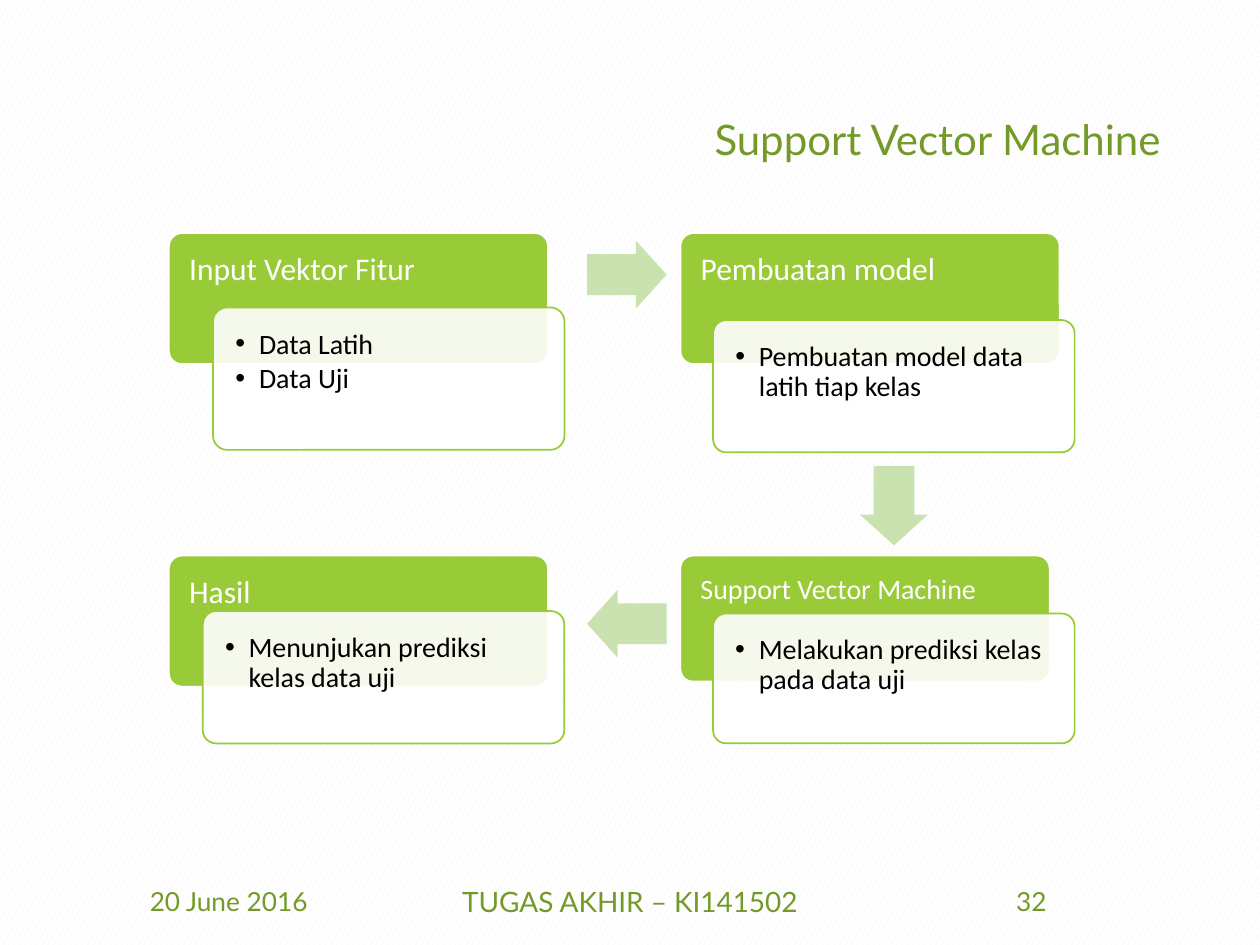
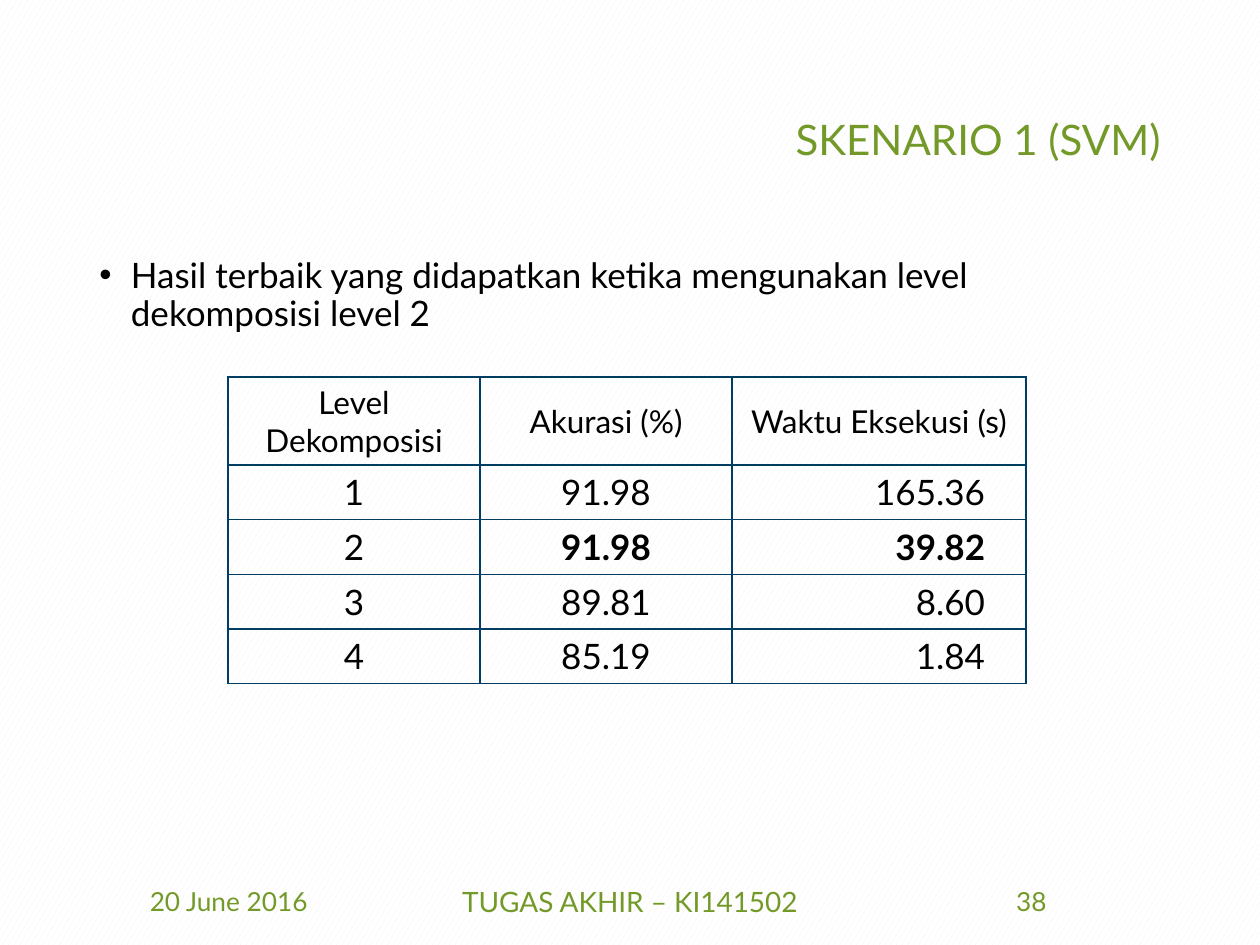
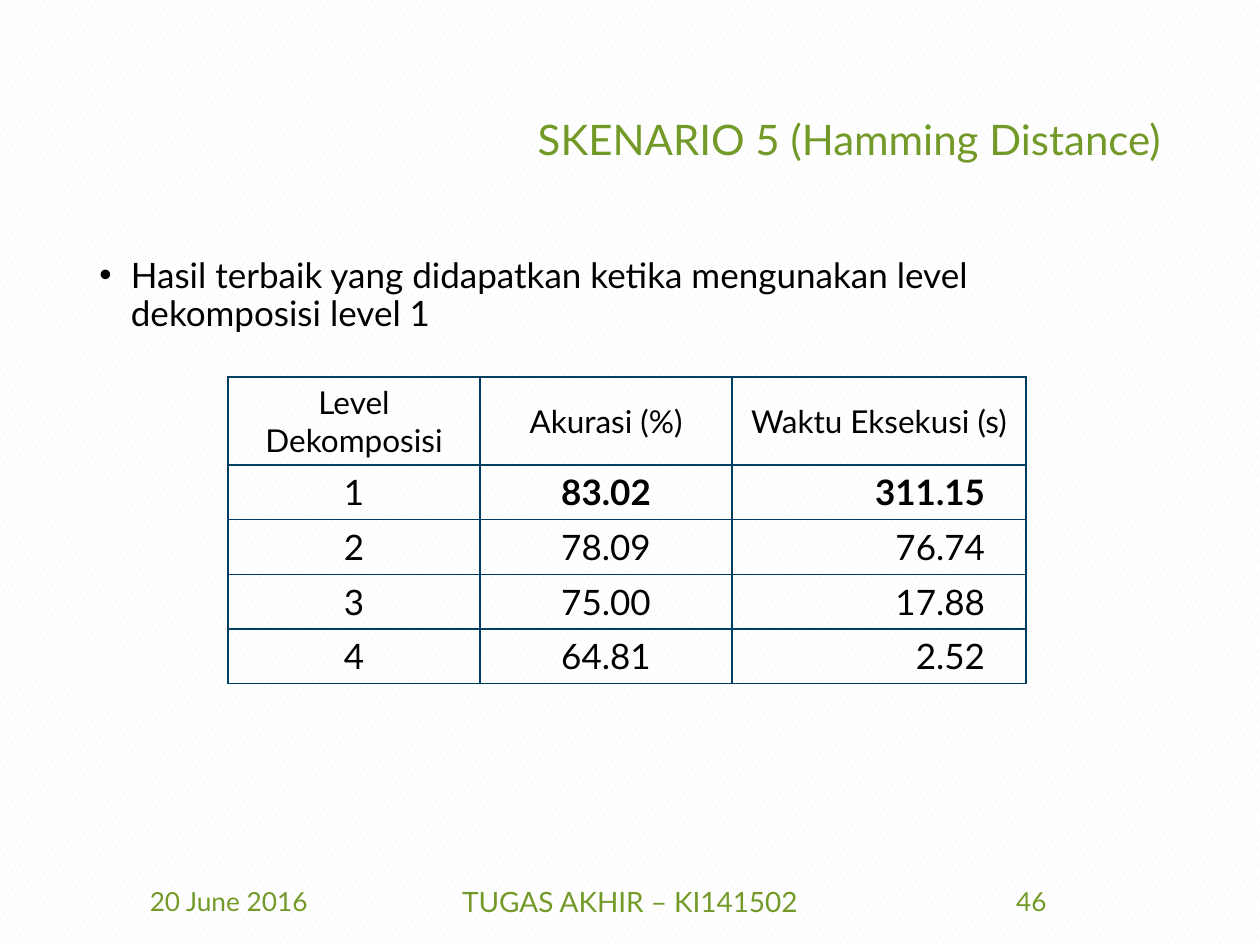
from lxml import etree
from pptx import Presentation
from pptx.dml.color import RGBColor
from pptx.enum.dml import MSO_PATTERN
from pptx.enum.shapes import MSO_SHAPE
from pptx.enum.text import MSO_ANCHOR, PP_ALIGN
from pptx.oxml.ns import qn
from pptx.util import Pt

CONFETTI = MSO_PATTERN.LARGE_CONFETTI
ROUNDED = MSO_SHAPE.ROUNDED_RECTANGLE
RIGHT_ARROW = MSO_SHAPE.RIGHT_ARROW
DOWN_ARROW = MSO_SHAPE.DOWN_ARROW
LEFT_ARROW = MSO_SHAPE.LEFT_ARROW
TOP, MIDDLE = MSO_ANCHOR.TOP, MSO_ANCHOR.MIDDLE
LEFT, CENTER, RIGHT = PP_ALIGN.LEFT, PP_ALIGN.CENTER, PP_ALIGN.RIGHT

OLIVE, GREEN, PALE_GREEN = "739A28", "99CB38", "CAE2AF"
NAVY, BLACK, WHITE, GRAY = "003D62", "000000", "FFFFFF", "F2F2F2"
HEADING_FONT, DIAGRAM_FONT = "Lato", "Calibri"

FOOTER_TOP, FOOTER_HEIGHT = 500.4, 28.8
TABLE_LEFT, TABLE_TOP = 130.3, 215.3
COLUMN_WIDTHS = [144, 144, 168]
HEADER_HEIGHT, ROW_HEIGHT = 50.4, 31.2
TABLE_HEADERS = ["Level Dekomposisi", "Akurasi (%)", "Waktu Eksekusi (s)"]

STEPS = [
    ("Input Vektor Fitur", 18, (96.5, 133.2, 216.7, 74.9),
     ["Data Latih", "Data Uji"], (121.7, 175.7, 200.9, 81.4)),
    ("Pembuatan model", 18, (388.8, 133.2, 216.7, 74.9),
     ["Pembuatan model data latih tiap kelas"], (407.5, 182.9, 206.6, 75.6)),
    ("Support Vector Machine", 16, (388.8, 317.5, 211, 72),
     ["Melakukan prediksi kelas pada data uji"], (407.5, 350.6, 206.6, 74.2)),
    ("Hasil", 18, (96.5, 317.5, 216.7, 74.9),
     ["Menunjukan prediksi kelas data uji"], (115.9, 349.2, 206.6, 75.6)),
]
ARROWS = [
    (RIGHT_ARROW, (335.5, 137.5, 45.4, 38.9)),
    (DOWN_ARROW, (491.4, 266.2, 38.9, 45.4)),
    (LEFT_ARROW, (335.5, 337, 45.4, 38.9)),
]
SCENARIOS = [
    ("SKENARIO 1 (SVM)", 38, 2,
     [("91.98", "165.36"), ("91.98", "39.82"), ("89.81", "8.60"), ("85.19", "1.84")]),
    ("SKENARIO 5 (Hamming Distance)", 46, 1,
     [("83.02", "311.15"), ("78.09", "76.74"), ("75.00", "17.88"), ("64.81", "2.52")]),
]


def color(value):
    return RGBColor.from_string(value)


def set_attributes(target, values):
    for name, value in values.items():
        setattr(target, name, value)


class Deck:
    def __init__(self):
        self.presentation = Presentation()
        set_attributes(self.presentation, {"slide_width": Pt(720), "slide_height": Pt(540)})
        fill = self.presentation.slide_master.background.fill
        fill.patterned()
        fill.pattern = CONFETTI
        fill.fore_color.rgb = color(GRAY)
        fill.back_color.rgb = color(WHITE)
        self.slide = None

    def add_slide(self, title, number):
        self.slide = self.presentation.slides.add_slide(self.presentation.slide_layouts[6])
        self.text((49.7, 28.8, 620.6, 104.4), [title], 24, OLIVE,
                  anchor=MIDDLE, alignment=RIGHT, line_spacing=0.9)
        footers = [(49.7, 162, "20 June 2016", 15),
                   (238.5, 243, "TUGAS AKHIR – KI141502", 16),
                   (508.3, 162, str(number), 15)]
        for left, width, words, size in footers:
            self.text((left, FOOTER_TOP, width, FOOTER_HEIGHT), [words], size, OLIVE,
                      anchor=MIDDLE, alignment=CENTER)

    def paragraph(self, paragraph, words, size, ink, font=HEADING_FONT, bold=False,
                  indent=0, **paragraph_format):
        set_attributes(paragraph, paragraph_format)
        run = paragraph.add_run()
        run.text = words
        set_attributes(run.font, {"name": font, "size": Pt(size), "bold": bold})
        run.font.color.rgb = color(ink)
        if indent:
            properties = paragraph._p.get_or_add_pPr()
            properties.set("marL", str(Pt(indent)))
            properties.set("indent", str(-Pt(indent)))
            etree.SubElement(properties, qn("a:buFont")).set("typeface", "Arial")
            etree.SubElement(properties, qn("a:buChar")).set("char", "•")

    def fill_frame(self, frame, lines, size, ink, anchor=TOP, **text_format):
        set_attributes(frame, {"word_wrap": True, "vertical_anchor": anchor})
        for index, words in enumerate(lines):
            paragraph = frame.add_paragraph() if index else frame.paragraphs[0]
            self.paragraph(paragraph, words, size, ink, **text_format)

    def text(self, box, lines, size, ink, **text_format):
        shape = self.slide.shapes.add_textbox(*map(Pt, box))
        self.fill_frame(shape.text_frame, lines, size, ink, **text_format)

    def shape(self, kind, box, fill, adjustments, line=None, opacity=100):
        shape = self.slide.shapes.add_shape(kind, *map(Pt, box))
        shape.shadow.inherit = False
        for index, value in enumerate(adjustments):
            shape.adjustments[index] = value
        shape.fill.solid()
        shape.fill.fore_color.rgb = color(fill)
        if opacity < 100:
            solid = shape._element.spPr.find(qn("a:solidFill"))
            etree.SubElement(solid[0], qn("a:alpha")).set("val", str(opacity * 1000))
        if line:
            shape.line.color.rgb = color(line)
            shape.line.width = Pt(1)
        else:
            shape.line.fill.background()
        return shape

    def card(self, box, lines, size, fill, line, ink, inset, opacity=100, **text_format):
        shape = self.shape(ROUNDED, box, fill, [0.1], line, opacity)
        margins = ["margin_left", "margin_top", "margin_right", "margin_bottom"]
        set_attributes(shape.text_frame, dict.fromkeys(margins, Pt(inset)))
        self.fill_frame(shape.text_frame, lines, size, ink, font=DIAGRAM_FONT,
                        alignment=LEFT, line_spacing=0.9, **text_format)

    def step(self, heading, heading_size, heading_box, details, detail_box):
        self.card(heading_box, [heading], heading_size, GREEN, WHITE, WHITE, 9.4)
        self.card(detail_box, details, 16, WHITE, GREEN, BLACK, 10.5, opacity=90,
                  indent=13.5, space_after=Pt(2.5))

    def arrow(self, kind, box):
        self.shape(kind, box, PALE_GREEN, [0.6, 0.45])

    def cell(self, cell, words, size, bold=False, alignment=CENTER):
        self.paragraph(cell.text_frame.paragraphs[0], words, size, BLACK,
                       bold=bold, alignment=alignment)
        cell.vertical_anchor = MIDDLE
        if alignment == RIGHT:
            cell.margin_right = Pt(23.4)
        cell.fill.background()
        properties = cell._tc.get_or_add_tcPr()
        for index, side in enumerate(["a:lnL", "a:lnR", "a:lnT", "a:lnB"]):
            border = etree.Element(qn(side), w=str(Pt(1)))
            solid = etree.SubElement(border, qn("a:solidFill"))
            etree.SubElement(solid, qn("a:srgbClr")).set("val", NAVY)
            properties.insert(index, border)

    def results_table(self, results, best_level):
        heights = [HEADER_HEIGHT] + [ROW_HEIGHT] * len(results)
        box = (TABLE_LEFT, TABLE_TOP, sum(COLUMN_WIDTHS), sum(heights))
        table = self.slide.shapes.add_table(
            len(heights), len(COLUMN_WIDTHS), *map(Pt, box)).table
        set_attributes(table, {"first_row": False, "horz_banding": False})
        for column, width in zip(table.columns, COLUMN_WIDTHS):
            column.width = Pt(width)
        for row, height in zip(table.rows, heights):
            row.height = Pt(height)
        for column, words in enumerate(TABLE_HEADERS):
            self.cell(table.cell(0, column), words, 18)
        for level, (accuracy, seconds) in enumerate(results, 1):
            best = level == best_level
            self.cell(table.cell(level, 0), str(level), 20)
            self.cell(table.cell(level, 1), accuracy, 20, best)
            self.cell(table.cell(level, 2), seconds, 20, best, RIGHT)


def main():
    deck = Deck()
    deck.add_slide("Support Vector Machine", 32)
    for step in STEPS:
        deck.step(*step)
    for arrow in ARROWS:
        deck.arrow(*arrow)
    for title, number, best_level, results in SCENARIOS:
        deck.add_slide(title, number)
        conclusion = ("Hasil terbaik yang didapatkan ketika mengunakan level "
                      f"dekomposisi level {best_level}")
        deck.text((49.7, 144, 620.6, 342.7), [conclusion], 20, BLACK,
                  indent=18, line_spacing=0.9, space_before=Pt(10))
        deck.results_table(results, best_level)
    deck.presentation.save("out.pptx")


if __name__ == "__main__":
    main()
